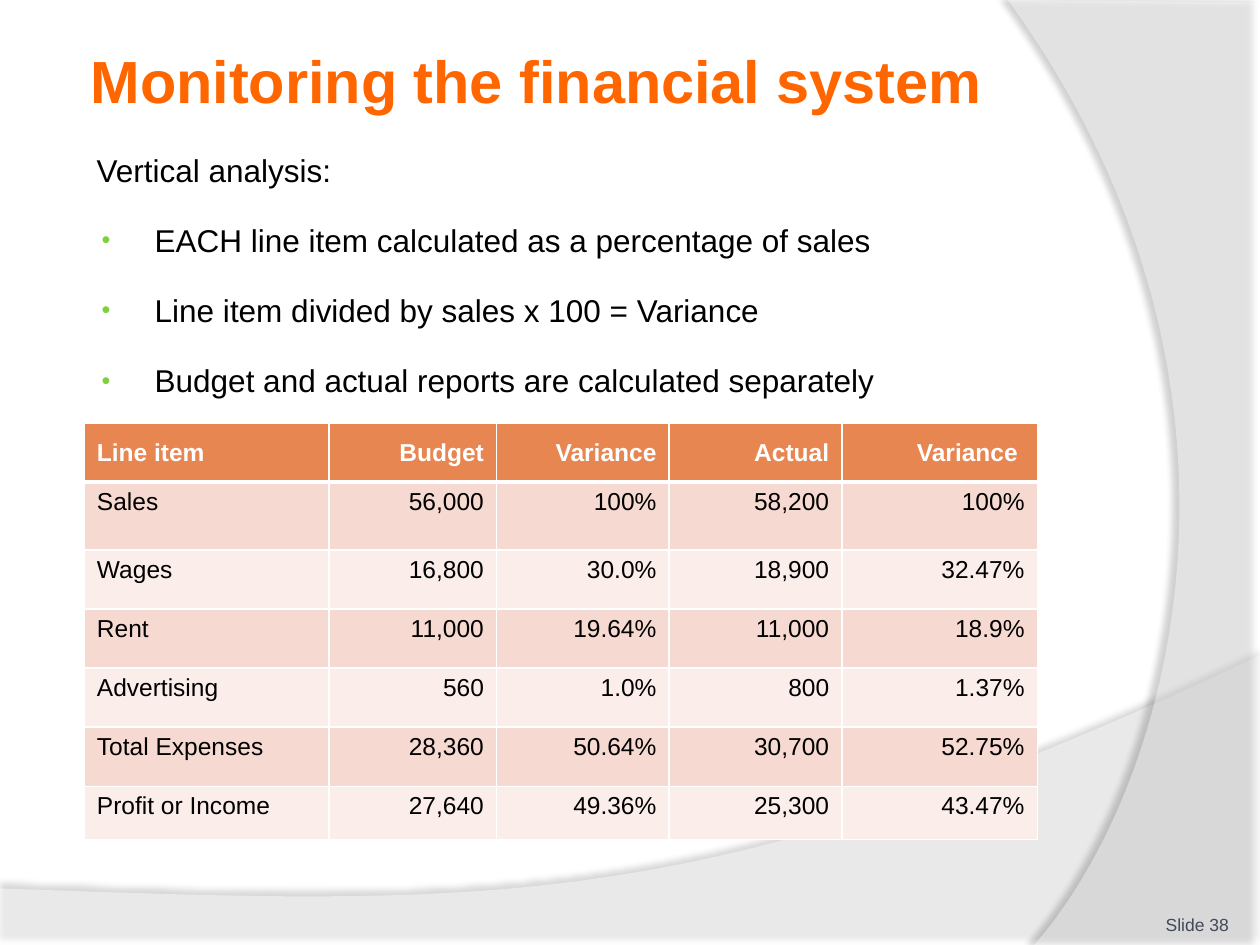
from lxml import etree
from pptx import Presentation
from pptx.dml.color import RGBColor
from pptx.enum.text import MSO_ANCHOR, PP_ALIGN
from pptx.oxml.ns import qn
from pptx.util import Cm, Pt

LEFT, RIGHT = PP_ALIGN.LEFT, PP_ALIGN.RIGHT
TOP, MIDDLE, BOTTOM = MSO_ANCHOR.TOP, MSO_ANCHOR.MIDDLE, MSO_ANCHOR.BOTTOM

FONT = "Arial"
COLORS = {
    "title": "FF6600", "text": "000000", "bullet": "7FD13B", "number": "434959",
    "white": "FFFFFF", "header": "E88651", "odd": "F6D9D0", "even": "FBEDE9",
}
BULLETS = [
    "EACH line item calculated as a percentage of sales",
    "Line item divided by sales x 100 = Variance",
    "Budget and actual reports are calculated separately",
]
ROWS = [
    ("Line item", "Budget", "Variance", "Actual", "Variance "),
    ("Sales", "56,000", "100%", "58,200", "100%"),
    ("Wages", "16,800", "30.0%", "18,900", "32.47%"),
    ("Rent", "11,000", "19.64%", "11,000", "18.9%"),
    ("Advertising", "560", "1.0%", "800", "1.37%"),
    ("Total Expenses", "28,360", "50.64%", "30,700", "52.75%"),
    ("Profit or Income", "27,640", "49.36%", "25,300", "43.47%"),
]
COLUMN_WIDTHS = [4.93, 3.38, 3.48, 3.48, 3.94]
ROW_HEIGHTS = [1.19, 1.37, 1.19, 1.19, 1.19, 1.19, 1.07]


def add_node(parent, tag, **attributes):
    node = etree.SubElement(parent, qn(tag))
    for name, value in attributes.items():
        node.set(name, str(value))
    return node


def style_paragraph(para, size, color, bold=False, align=LEFT):
    para.alignment = align
    for span in para.runs:
        span.font.name = FONT
        span.font.size = Pt(size)
        span.font.bold = bold
        span.font.color.rgb = RGBColor.from_string(COLORS[color])


def add_text_box(page, box, anchor, inset=None):
    frame = page.shapes.add_textbox(*map(Cm, box)).text_frame
    frame.word_wrap = True
    frame.vertical_anchor = anchor
    if inset is not None:
        frame.margin_left = frame.margin_right = Cm(inset)
        frame.margin_top = frame.margin_bottom = Cm(inset)
    return frame


def curve(start, first, second, end, steps=60):
    """Points along a cubic Bezier curve."""
    points = []
    for step in range(steps + 1):
        t = step / steps
        weights = ((1 - t) ** 3, 3 * t * (1 - t) ** 2, 3 * t * t * (1 - t), t ** 3)
        points.append(tuple(
            sum(w * p[axis] for w, p in zip(weights, (start, first, second, end)))
            for axis in (0, 1)))
    return points


def add_sweep(page, left, top, points, opacity, shadow_opacity, distance, direction):
    """Translucent white area whose shadow shows through it."""
    outline = [(Cm(x), Cm(y)) for x, y in points]
    builder = page.shapes.build_freeform(*outline[0])
    builder.add_line_segments(outline[1:], close=True)
    sweep = builder.convert_to_shape(Cm(left), Cm(top))
    sweep.fill.solid()
    sweep.fill.fore_color.rgb = RGBColor.from_string(COLORS["white"])
    sweep.line.fill.background()
    sweep.shadow.inherit = False
    properties = sweep.element.spPr
    add_node(properties.find(f".//{qn('a:srgbClr')}"), "a:alpha", val=opacity * 1000)
    shadow = add_node(properties.find(qn("a:effectLst")), "a:outerShdw",
                      blurRad=Pt(4), dist=Pt(distance), dir=direction * 60000,
                      algn="ctr", rotWithShape=0)
    shade = add_node(shadow, "a:srgbClr", val=COLORS["text"])
    add_node(shade, "a:alpha", val=shadow_opacity * 1000)


def add_background(page):
    # Wave along the bottom
    wave = [(0, 5.86), (25.4, 5.86)]
    wave += curve((25.4, 0), (14.2, 5.31), (9.93, 5.05), (0, 4.7))
    add_sweep(page, 0, 13.21, wave, 45, 35, 3.5, 270)
    # Arc down the right side
    arc = [(5.08, 0.05), (5.08, 19.05)]
    arc += curve((0.53, 19.05), (3.43, 15.72), (5.54, 7.62), (0, 0))
    add_sweep(page, 20.32, 0, arc, 40, 45, 4, 180)


def add_title(page, box):
    frame = add_text_box(page, box, MIDDLE, 0.13)
    frame.text = "Monitoring the financial system"
    style_paragraph(frame.paragraphs[0], 34, "title", bold=True)


def add_body(page, box):
    frame = add_text_box(page, box, TOP)
    frame.text = "\n".join(["Vertical analysis:"] + BULLETS)
    for index, para in enumerate(frame.paragraphs):
        para.space_after = Pt(12)
        if index:
            para.space_before = Pt(6.5)
            properties = para._p.get_or_add_pPr()
            properties.set("marL", str(Cm(1.17)))
            properties.set("indent", str(Cm(-1.07)))
            color = add_node(properties, "a:buClr")
            add_node(color, "a:srgbClr", val=COLORS["bullet"])
            add_node(properties, "a:buSzPct", val=80000)
            add_node(properties, "a:buFont", typeface=FONT)
            add_node(properties, "a:buChar", char="•")
        style_paragraph(para, 18, "text")


def add_slide_number(page, box):
    frame = add_text_box(page, box, BOTTOM, 0)
    frame.text = "Slide 38"
    style_paragraph(frame.paragraphs[0], 10, "number", align=RIGHT)


def set_borders(cell, top, bottom):
    properties = cell._tc.get_or_add_tcPr()
    for side, width in (("L", 1), ("R", 1), ("T", top), ("B", bottom)):
        line = add_node(properties, f"a:ln{side}", w=Pt(width))
        add_node(add_node(line, "a:solidFill"), "a:srgbClr", val=COLORS["white"])


def add_variance_table(page, box):
    table = page.shapes.add_table(len(ROWS), len(COLUMN_WIDTHS), *map(Cm, box)).table
    for column, width in zip(table.columns, COLUMN_WIDTHS):
        column.width = Cm(width)
    for row, height in zip(table.rows, ROW_HEIGHTS):
        row.height = Cm(height)
    for r, values in enumerate(ROWS):
        is_header = r == 0
        fill = "header" if is_header else "odd" if r % 2 else "even"
        for c, value in enumerate(values):
            cell = table.cell(r, c)
            cell.text = value
            cell.vertical_anchor = MIDDLE if is_header else TOP
            set_borders(cell, 3 if r == 1 else 1, 3 if is_header else 1)
            cell.fill.solid()
            cell.fill.fore_color.rgb = RGBColor.from_string(COLORS[fill])
            style_paragraph(cell.text_frame.paragraphs[0], 14,
                            "white" if is_header else "text",
                            is_header, RIGHT if c else LEFT)


def main():
    deck = Presentation()
    deck.slide_width, deck.slide_height = Cm(25.4), Cm(19.05)
    page = deck.slides.add_slide(deck.slide_layouts[6])
    add_background(page)
    add_title(page, (1.7, 0.33, 20.75, 2.57))
    add_body(page, (1.7, 2.92, 20.75, 15.93))
    add_slide_number(page, (22.66, 17.83, 2.11, 1.02))
    add_variance_table(page, (1.7, 8.53, sum(COLUMN_WIDTHS), sum(ROW_HEIGHTS)))
    deck.save("out.pptx")


if __name__ == "__main__":
    main()
